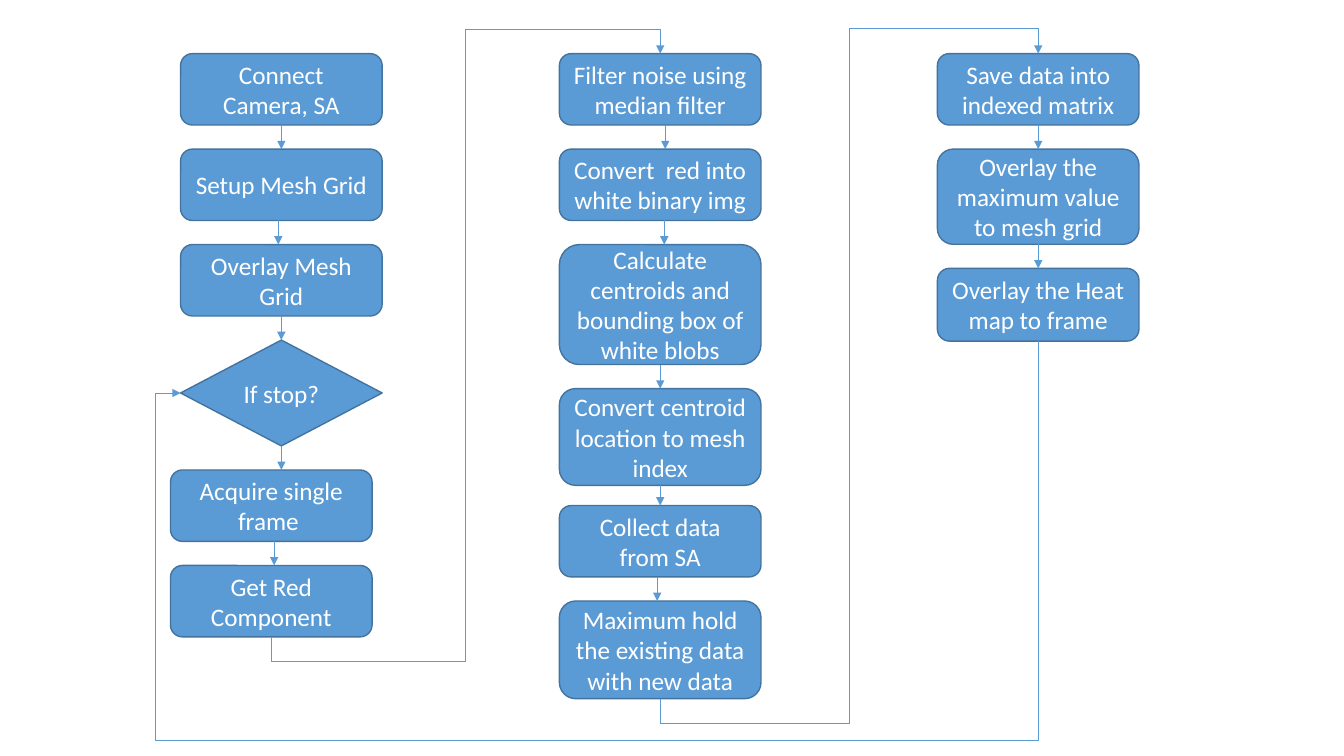
import pptx
import pptx.util
import pptx.dml.color
import pptx.enum.shapes
import pptx.enum.text
import pptx.oxml.ns
import lxml.etree

Pt = pptx.util.Pt
SHAPES = pptx.enum.shapes.MSO_SHAPE
CONNECTORS = pptx.enum.shapes.MSO_CONNECTOR
COLORS = {"fill": "5B9BD5", "outline": "43739E", "text": "FFFFFF", "arrow": "5B9BD5"}
TOP, BOTTOM, LEFT = 0, 2, 1
FIRST_TOP, STEP_WIDTH, GAP = 38.3, 144, 17.2


def color(name):
    return pptx.dml.color.RGBColor.from_string(COLORS[name])


def style_arrow(connector):
    connector.line.color.rgb = color("arrow")
    connector.line.width = Pt(0.5)
    tail = lxml.etree.SubElement(connector.line._get_or_add_ln(), pptx.oxml.ns.qn("a:tailEnd"))
    tail.set("type", "triangle")
    lxml.etree.SubElement(connector._element.spPr, pptx.oxml.ns.qn("a:effectLst"))


presentation = pptx.Presentation()
presentation.slide_width = Pt(960)
presentation.slide_height = Pt(540)
slide = presentation.slides.add_slide(presentation.slide_layouts[6])

# text, height, shift of the step, shift of its outgoing arrow, gap below
columns = [
    (129, [
        ("Connect Camera, SA", 51, 0, 0, GAP),
        ("Setup Mesh Grid", 51, 0, -2.2, GAP),
        ("Overlay Mesh Grid", 51, 0, 0, GAP),
        ("If stop?", 75.6, 0, 0, GAP),
        ("Acquire single frame ", 51, -7.2, 2, GAP),
        ("Get Red Component", 51, -7.2, 0, GAP),
    ]),
    (399.6, [
        ("Filter noise using median filter", 51, 0, 3.6, GAP),
        ("Convert  red into white binary img ", 51, 0, 2.9, GAP),
        ("Calculate centroids and bounding box of white blobs", 85.7, 0, 0, GAP),
        ("Convert centroid location to mesh index", 69.1, 0, 0, 14.4),
        ("Collect data from SA", 51, 0, -2.2, GAP),
        ("Maximum hold the existing data with new data", 69.8, 0, 0, GAP),
    ]),
    (669.6, [
        ("Save data into indexed matrix", 51, 0, 0, GAP),
        ("Overlay the maximum value to mesh grid", 68, 0, 0, GAP),
        ("Overlay the Heat map to frame", 52, 0, 0, GAP),
    ]),
]

steps = {}
for column_left, column in columns:
    top = FIRST_TOP
    previous = None
    for text, height, shift, arrow_shift, gap in column:
        kind = SHAPES.FLOWCHART_DECISION if text == "If stop?" else SHAPES.FLOWCHART_ALTERNATE_PROCESS
        shape = slide.shapes.add_shape(kind, Pt(column_left + shift), Pt(top), Pt(STEP_WIDTH), Pt(height))
        shape.shadow.inherit = False
        shape.fill.solid()
        shape.fill.fore_color.rgb = color("fill")
        shape.line.color.rgb = color("outline")
        shape.line.width = Pt(1)
        shape.text_frame.word_wrap = True
        shape.text_frame.vertical_anchor = pptx.enum.text.MSO_ANCHOR.MIDDLE
        paragraph = shape.text_frame.paragraphs[0]
        paragraph.alignment = pptx.enum.text.PP_ALIGN.CENTER
        run = paragraph.add_run()
        run.text = text
        run.font.name = "Calibri"
        run.font.size = Pt(18)
        run.font.color.rgb = color("text")
        center = column_left + shift + STEP_WIDTH / 2
        if previous:
            source, source_center, arrow_x, arrow_top = previous
            arrow = slide.shapes.add_connector(
                CONNECTORS.STRAIGHT, Pt(arrow_x), Pt(arrow_top), Pt(arrow_x), Pt(top))
            if arrow_x == source_center:
                arrow.begin_connect(source, BOTTOM)
            if arrow_x == center:
                arrow.end_connect(shape, TOP)
            style_arrow(arrow)
        previous = (shape, center, center + arrow_shift, top + height)
        steps[text] = shape
        top += height + gap

bends = [
    ("Get Red Component", "Filter noise using median filter", TOP, [472.3, 332.8, 20.7]),
    ("Maximum hold the existing data with new data", "Save data into indexed matrix", TOP, [516.8, 606.6, 20.4]),
    ("Overlay the Heat map to frame", "If stop?", LEFT, [529.2, 110.9]),
]
for source, target, side, turns in bends:
    bend = slide.shapes.add_connector(CONNECTORS.ELBOW, Pt(0), Pt(0), Pt(10), Pt(10))
    bend.begin_connect(steps[source], BOTTOM)
    bend.end_connect(steps[target], side)
    begin_x, begin_y = bend.begin_x, bend.begin_y
    across, down = bend.end_x - begin_x, bend.end_y - begin_y
    bend.width, bend.height = abs(down), abs(across)
    bend.left = begin_x + (across - bend.width) // 2
    bend.top = begin_y + (down - bend.height) // 2
    frame = bend._element.spPr.xfrm
    frame.attrib.clear()
    frame.set("rot", "5400000" if across < 0 else "16200000")
    geometry = bend._element.spPr.find(pptx.oxml.ns.qn("a:prstGeom"))
    geometry.set("prst", f"bentConnector{len(turns) + 2}")
    guides = geometry.find(pptx.oxml.ns.qn("a:avLst"))
    for index, turn in enumerate(turns):
        start, distance = (begin_x, across) if index % 2 else (begin_y, down)
        guide = lxml.etree.SubElement(guides, pptx.oxml.ns.qn("a:gd"))
        guide.set("name", f"adj{index + 1}")
        guide.set("fmla", f"val {round((Pt(turn) - start) / distance * 100000)}")
    style_arrow(bend)

presentation.save("out.pptx")
